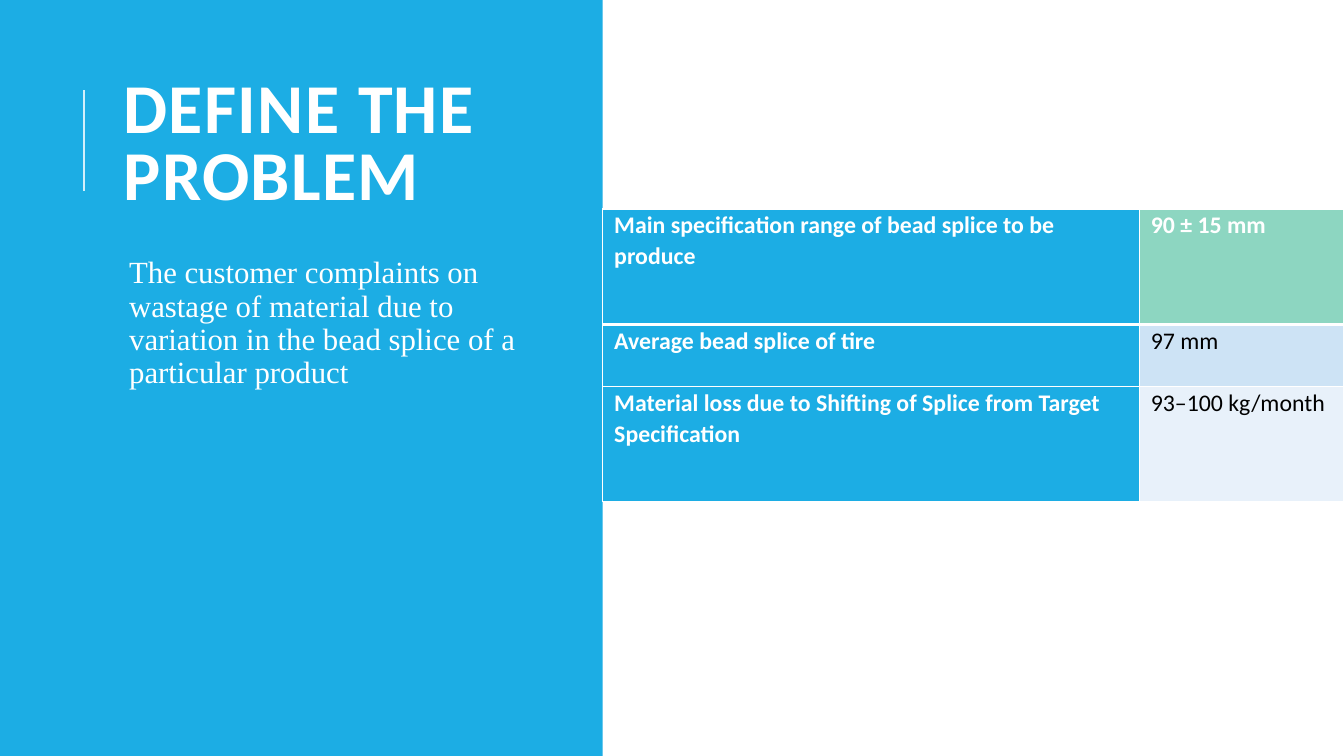
import pptx
import pptx.util
import pptx.dml.color
import pptx.enum.shapes
import pptx.enum.text
import pptx.oxml
import pptx.oxml.ns
import lxml.etree

PX = 9525
HUES = {
    "blue": "1CADE4",
    "white": "FFFFFF",
    "black": "000000",
    "rule": "D2EFFA",
    "green": "8DD6C1",
    "mid": "CDE3F5",
    "pale": "E8F1FA",
}
ROWS = [
    ("Main specification range of bead splice to be produce", "90 ± 15 mm", "green", 110),
    ("Average bead splice of tire", "97 mm", "mid", 59),
    ("Material loss due to Shifting of Splice from Target Specification",
     "93–100 kg/month", "pale", 110),
]


def px(*sizes):
    return [pptx.util.Emu(size * PX) for size in sizes]


def hue(name):
    return pptx.dml.color.RGBColor.from_string(HUES[name])


def style(part, size, face, tint, bold=False):
    for run in part.runs:
        run.font.size = pptx.util.Pt(size)
        run.font.name = face
        run.font.bold = bold
        run.font.color.rgb = hue(tint)


def edge(cell, side, width):
    line = pptx.oxml.parse_xml(
        f'<a:{side} {pptx.oxml.ns.nsdecls("a")} w="{width * 12700}">'
        f'<a:solidFill><a:srgbClr val="{HUES["white"]}"/></a:solidFill></a:{side}>')
    cell._tc.get_or_add_tcPr().append(line)


def add_title(slide, left, top, wide, high):
    title = slide.shapes.title
    title.left, title.top, title.width, title.height = px(left, top, wide, high)
    frame = title.text_frame
    frame.text = "DEFINE THE PROBLEM"
    frame.word_wrap = True
    frame.auto_size = pptx.enum.text.MSO_AUTO_SIZE.NONE
    frame.vertical_anchor = pptx.enum.text.MSO_ANCHOR.MIDDLE
    part = frame.paragraphs[0]
    part.alignment = pptx.enum.text.PP_ALIGN.LEFT
    part.line_spacing = 0.8
    style(part, 50, "Calibri", "white", True)
    part.runs[0].font._element.set("spc", "100")


def add_body(slide, left, top, wide, high):
    frame = slide.shapes.add_textbox(*px(left, top, wide, high)).text_frame
    frame.word_wrap = True
    frame.margin_left, frame.margin_top, frame.margin_right, frame.margin_bottom = px(5, 5, 5, 5)
    frame.text = ("The customer complaints on wastage of material due to "
                  "variation in the bead splice of a particular product")
    part = frame.paragraphs[0]
    part.line_spacing = 0.9
    part.space_before = pptx.util.Pt(12)
    part.space_after = pptx.util.Pt(2)
    part._p.get_or_add_pPr().set("marL", str(10 * PX))
    style(part, 22, "Times New Roman", "white")


def add_panel(slide, left, top, wide, high):
    panel = slide.shapes.add_shape(
        pptx.enum.shapes.MSO_SHAPE.RECTANGLE, *px(left, top, wide, high))
    panel.shadow.inherit = False
    panel.fill.solid()
    panel.fill.fore_color.rgb = hue("blue")
    panel.line.fill.background()
    slide.shapes._spTree.insert(2, panel._element)

    add_title(slide, left + 108, top + 61, 396, 157)
    rule = slide.shapes.add_connector(
        pptx.enum.shapes.MSO_CONNECTOR.STRAIGHT,
        *px(left + 80, top + 182, left + 80, top + 86))
    rule.line.color.rgb = hue("rule")
    rule.line.width = pptx.util.Pt(1.5)
    lxml.etree.SubElement(rule._element.spPr, pptx.oxml.ns.qn("a:effectLst"))
    add_body(slide, left + 108, top + 240, 398, 413)


def fill_cell(cell, text, fill, tint, bold, base):
    cell.margin_left, cell.margin_top, cell.margin_right, cell.margin_bottom = px(11, 0, 11, 0)
    cell.text_frame.text = text
    part = cell.text_frame.paragraphs[0]
    part.line_spacing = 1.07
    style(part, 17, "Calibri", tint, bold)
    for side, width in (("lnL", 1), ("lnR", 1), ("lnT", 1), ("lnB", base)):
        edge(cell, side, width)
    cell.fill.solid()
    cell.fill.fore_color.rgb = hue(fill)


def add_specs(slide, left, top, wide, high):
    table = slide.shapes.add_table(len(ROWS), 2, *px(left, top, wide, high)).table
    table.columns[0].width, table.columns[1].width = px(511, wide - 511)
    for i, (label, value, fill, tall) in enumerate(ROWS):
        head = i == 0
        base = 3 if head else 1
        table.rows[i].height = px(tall)[0]
        fill_cell(table.cell(i, 0), label, "blue", "white", True, base)
        fill_cell(table.cell(i, 1), value, fill, "white" if head else "black", head, base)


def main():
    deck = pptx.Presentation()
    deck.slide_width, deck.slide_height = px(1280, 720)
    slide = deck.slides.add_slide(deck.slide_layouts[5])
    add_panel(slide, 0, 0, 574, 720)
    add_specs(slide, 574, 199, 706, 279)
    deck.save("out.pptx")


if __name__ == "__main__":
    main()
